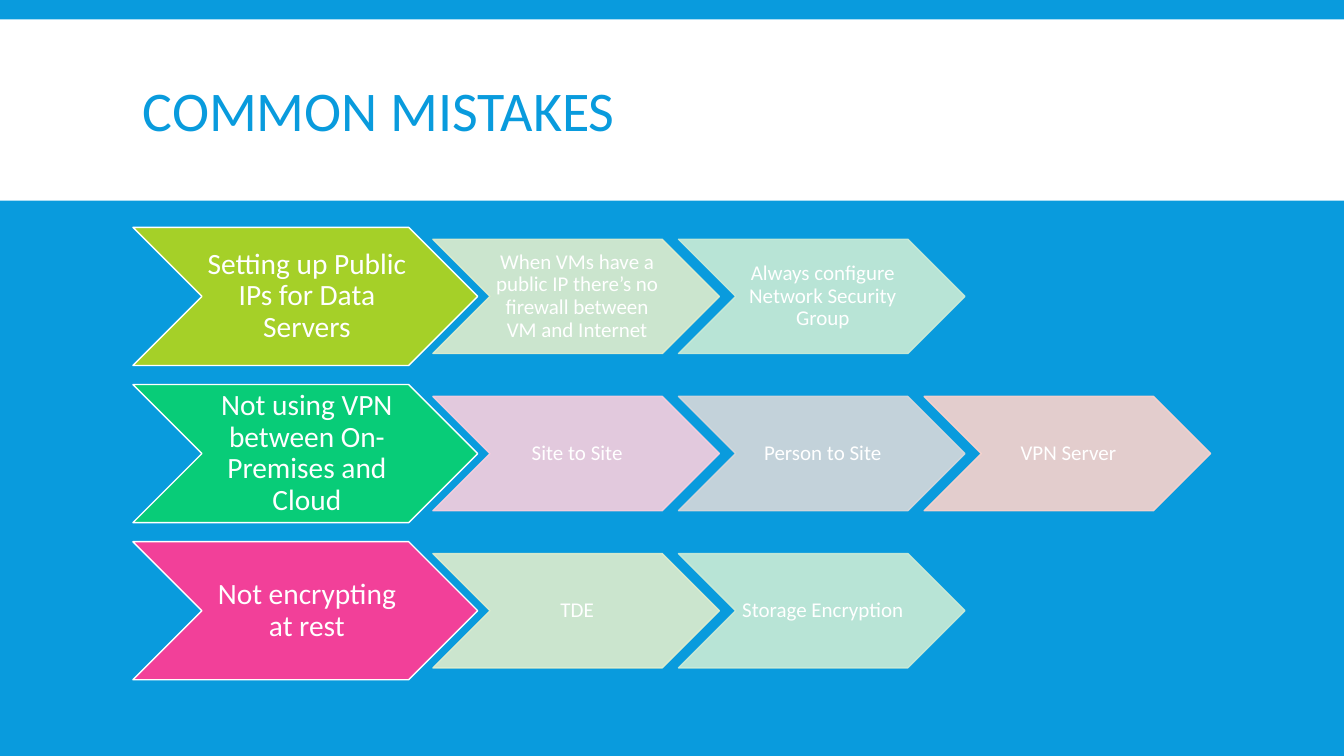
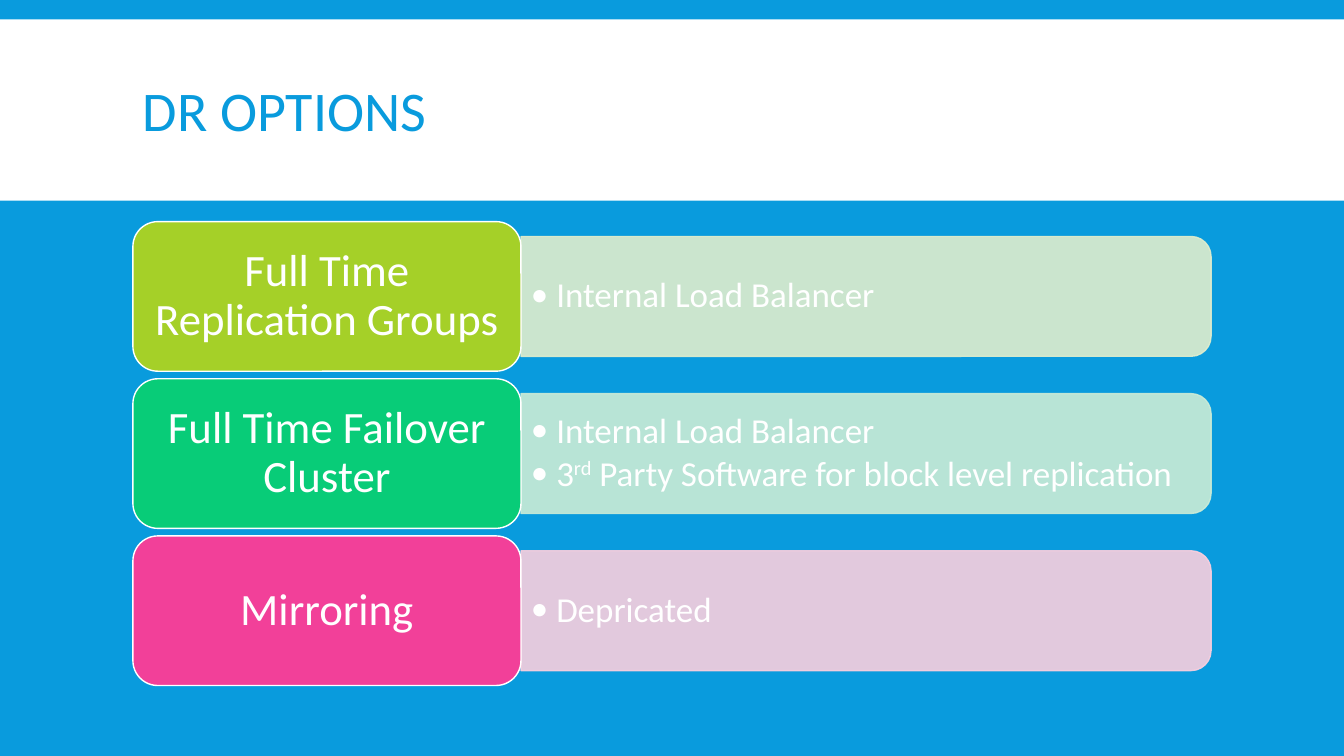
from dataclasses import dataclass

from lxml import etree
from pptx import Presentation
from pptx.dml.color import RGBColor
from pptx.enum.shapes import MSO_SHAPE
from pptx.enum.text import MSO_ANCHOR, PP_ALIGN
from pptx.oxml.ns import qn
from pptx.util import Cm, Pt

CHEVRON = MSO_SHAPE.CHEVRON
ROUNDED = MSO_SHAPE.ROUNDED_RECTANGLE
BAR = MSO_SHAPE.ROUND_2_SAME_RECTANGLE
RECTANGLE = MSO_SHAPE.RECTANGLE
MIDDLE = MSO_ANCHOR.MIDDLE
CENTER, LEFT = PP_ALIGN.CENTER, PP_ALIGN.LEFT

FONT = "Calibri"
COLORS = {
    "blue": "099BDD",
    "white": "FFFFFF",
    "lime": "A5D028",
    "green": "08CC78",
    "pink": "F24099",
    "pale_lime": "E1EECD",
    "pale_green": "CCECD6",
    "pale_pink": "FACFDE",
    "pale_grey": "D8D8DA",
    "pale_red": "FBD3CC",
}

# Shared grid, in centimetres
PAGE_WIDTH, PAGE_HEIGHT = 33.87, 19.05
MARGIN = 3.35
CONTENT_WIDTH = 27.17
FIRST_ROW_CENTER = 7.47
ROW_PITCH = 3.96


@dataclass(frozen=True)
class Area:
    left: float
    top: float
    width: float
    height: float

    def lengths(self) -> tuple:
        return Cm(self.left), Cm(self.top), Cm(self.width), Cm(self.height)


@dataclass(frozen=True)
class Span:
    text: str
    superscript: bool = False


@dataclass(frozen=True)
class TextStyle:
    size: float
    insets: tuple
    color: str = "white"
    align: PP_ALIGN = CENTER
    line_spacing: float = 0.9
    bullet: bool = False


@dataclass(frozen=True)
class Step:
    text: str
    color: str


@dataclass(frozen=True)
class Process:
    name: Step
    details: tuple


@dataclass(frozen=True)
class Option:
    name: Step
    bar_color: str
    points: tuple


TITLE = TextStyle(40, (0.25, 0.13, 0.25, 0.13), "blue", LEFT, 0.85)
PROCESS_NAME = TextStyle(21, (0.08, 0.03, 0, 0.03))
PROCESS_DETAIL = TextStyle(15, (0.05, 0.03, 0, 0.03))
OPTION_NAME = TextStyle(32, (0.33, 0.17, 0.33, 0.17))
OPTION_POINT = TextStyle(25, (0.25, 0.13, 0.25, 0.13), align=LEFT, bullet=True)

PROCESSES = (
    Process(Step("Setting up Public IPs for Data Servers", "lime"), (
        Step("When VMs have a public IP there’s no firewall between VM and Internet",
             "pale_lime"),
        Step("Always configure Network Security Group", "pale_green"),
    )),
    Process(Step("Not using VPN between On-Premises and Cloud", "green"), (
        Step("Site to Site", "pale_pink"),
        Step("Person to Site", "pale_grey"),
        Step("VPN Server", "pale_red"),
    )),
    Process(Step("Not encrypting at rest", "pink"), (
        Step("TDE", "pale_lime"),
        Step("Storage Encryption", "pale_green"),
    )),
)

BALANCER = (Span("Internal Load Balancer"),)
OPTIONS = (
    Option(Step("Full Time Replication Groups", "lime"), "pale_lime", (BALANCER,)),
    Option(Step("Full Time Failover Cluster", "green"), "pale_green", (
        BALANCER,
        (Span("3"), Span("rd", True),
         Span(" Party Software for block level replication")),
    )),
    Option(Step("Mirroring", "pink"), "pale_pink", ((Span("Depricated"),),)),
)


def rgb(name: str) -> RGBColor:
    return RGBColor.from_string(COLORS[name])


def write_text(box, paragraphs: tuple, style: TextStyle) -> None:
    frame = box.text_frame
    frame.word_wrap = True
    frame.vertical_anchor = MIDDLE
    (frame.margin_left, frame.margin_top,
     frame.margin_right, frame.margin_bottom) = map(Cm, style.insets)
    for index, spans in enumerate(paragraphs):
        para = frame.add_paragraph() if index else frame.paragraphs[0]
        para.alignment = style.align
        para.line_spacing = style.line_spacing
        if style.bullet:
            para.space_after = Pt(3.75)
            properties = para._p.get_or_add_pPr()
            properties.set("marL", str(Cm(0.64)))
            properties.set("indent", str(-Cm(0.64)))
            etree.SubElement(properties, qn("a:buFont"), typeface=FONT)
            etree.SubElement(properties, qn("a:buChar"), char="•")
        for span in spans:
            run = para.add_run()
            run.text = span.text
            run.font.name = FONT
            run.font.size = Pt(style.size)
            run.font.color.rgb = rgb(style.color)
            if span.superscript:
                run._r.get_or_add_rPr().set("baseline", "30000")


def add_text(page, area: Area, paragraphs: tuple, style: TextStyle) -> None:
    write_text(page.shapes.add_textbox(*area.lengths()), paragraphs, style)


def add_block(page, kind: MSO_SHAPE, area: Area, fill: str,
              line: str | None = None, opacity: int = 100):
    block = page.shapes.add_shape(kind, *area.lengths())
    block.shadow.inherit = False
    block.fill.solid()
    block.fill.fore_color.rgb = rgb(fill)
    if line is None:
        block.line.fill.background()
    else:
        block.line.color.rgb = rgb(line)
        block.line.width = Pt(1)
    if opacity < 100:
        for color in block._element.spPr.iter(qn("a:srgbClr")):
            etree.SubElement(color, qn("a:alpha"), val=str(opacity * 1000))
    return block


def add_page(deck, title: str):
    page = deck.slides.add_slide(deck.slide_layouts[6])
    page.background.fill.solid()
    page.background.fill.fore_color.rgb = rgb("blue")
    add_block(page, RECTANGLE, Area(0, 0.49, PAGE_WIDTH, 4.57), "white")
    add_text(page, Area(MARGIN, 0.8, CONTENT_WIDTH, 4.18), ((Span(title),),), TITLE)
    return page


def row_area(row: int, left: float, width: float, height: float) -> Area:
    """Area centred vertically on a row of the shared grid."""
    center = FIRST_ROW_CENTER + row * ROW_PITCH
    return Area(left, center - height / 2, width, height)


def add_process(page, row: int, process: Process) -> None:
    # Main chevron
    name = process.name
    block = add_block(page, CHEVRON, row_area(row, MARGIN, 8.69, 3.48),
                      name.color, "white")
    write_text(block, ((Span(name.text),),), PROCESS_NAME)
    # Detail chevrons
    for column, detail in enumerate(process.details):
        area = row_area(row, 10.91 + column * 6.19, 7.22, 2.88)
        block = add_block(page, CHEVRON, area, detail.color, detail.color, 90)
        write_text(block, ((Span(detail.text),),), PROCESS_DETAIL)


def add_option(page, row: int, option: Option) -> None:
    # Bar, turned so that its round corners face right
    label_width = 9.78
    bar_left = MARGIN + label_width
    length, thickness = CONTENT_WIDTH - label_width, 3.02
    upright = row_area(row, bar_left + (length - thickness) / 2, thickness, length)
    bar = add_block(page, BAR, upright, option.bar_color, option.bar_color, 90)
    bar.rotation = 90
    add_text(page, row_area(row, bar_left, 17.25, 2.72), option.points, OPTION_POINT)
    # Label
    label = add_block(page, ROUNDED, row_area(row, MARGIN, label_width, 3.77),
                      option.name.color, "white")
    write_text(label, ((Span(option.name.text),),), OPTION_NAME)


def main() -> None:
    deck = Presentation()
    deck.slide_width, deck.slide_height = Cm(PAGE_WIDTH), Cm(PAGE_HEIGHT)

    mistakes = add_page(deck, "COMMON MISTAKES")
    for row, process in enumerate(PROCESSES):
        add_process(mistakes, row, process)

    recovery = add_page(deck, "DR OPTIONS")
    for row, option in enumerate(OPTIONS):
        add_option(recovery, row, option)

    deck.save("out.pptx")


if __name__ == "__main__":
    main()
